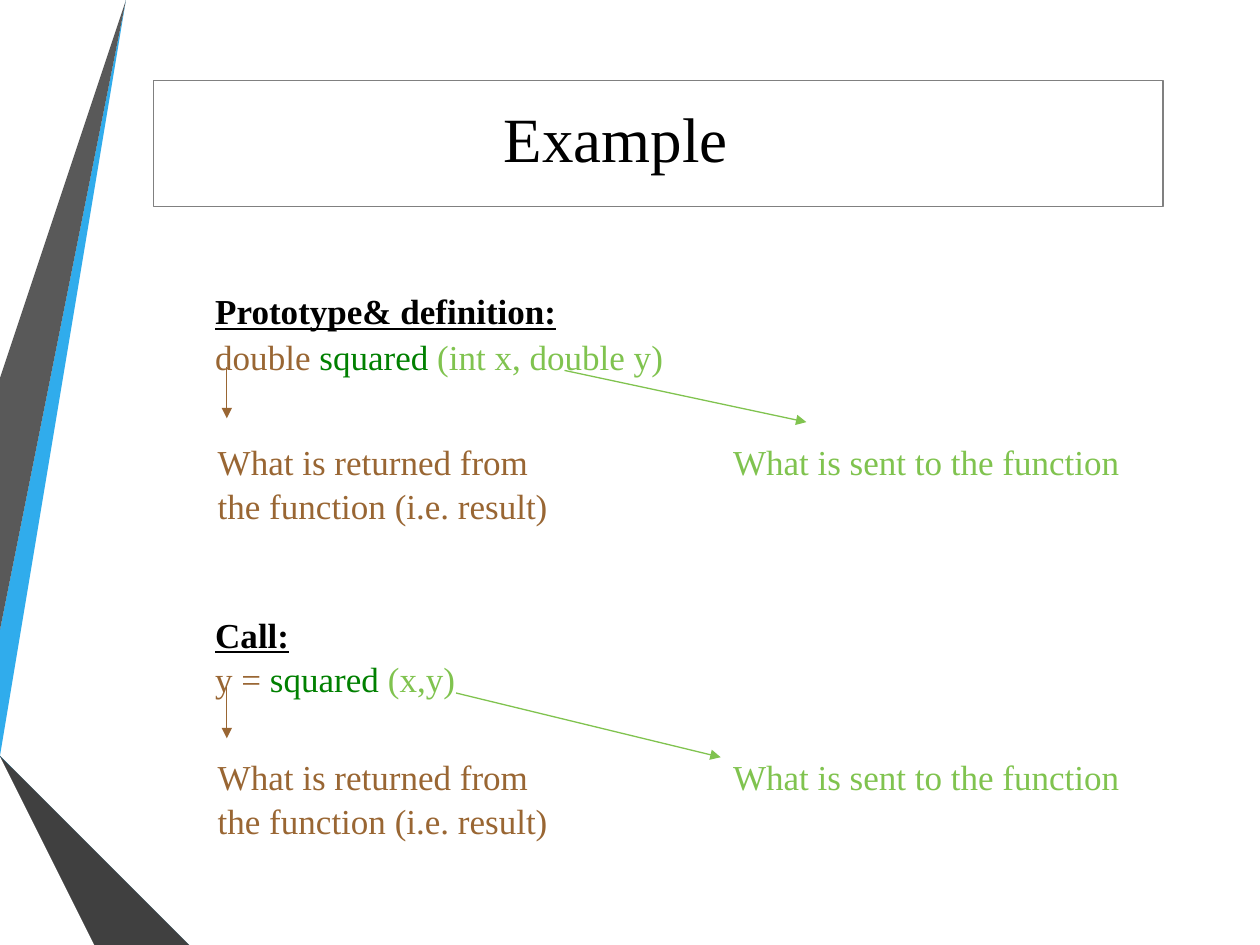
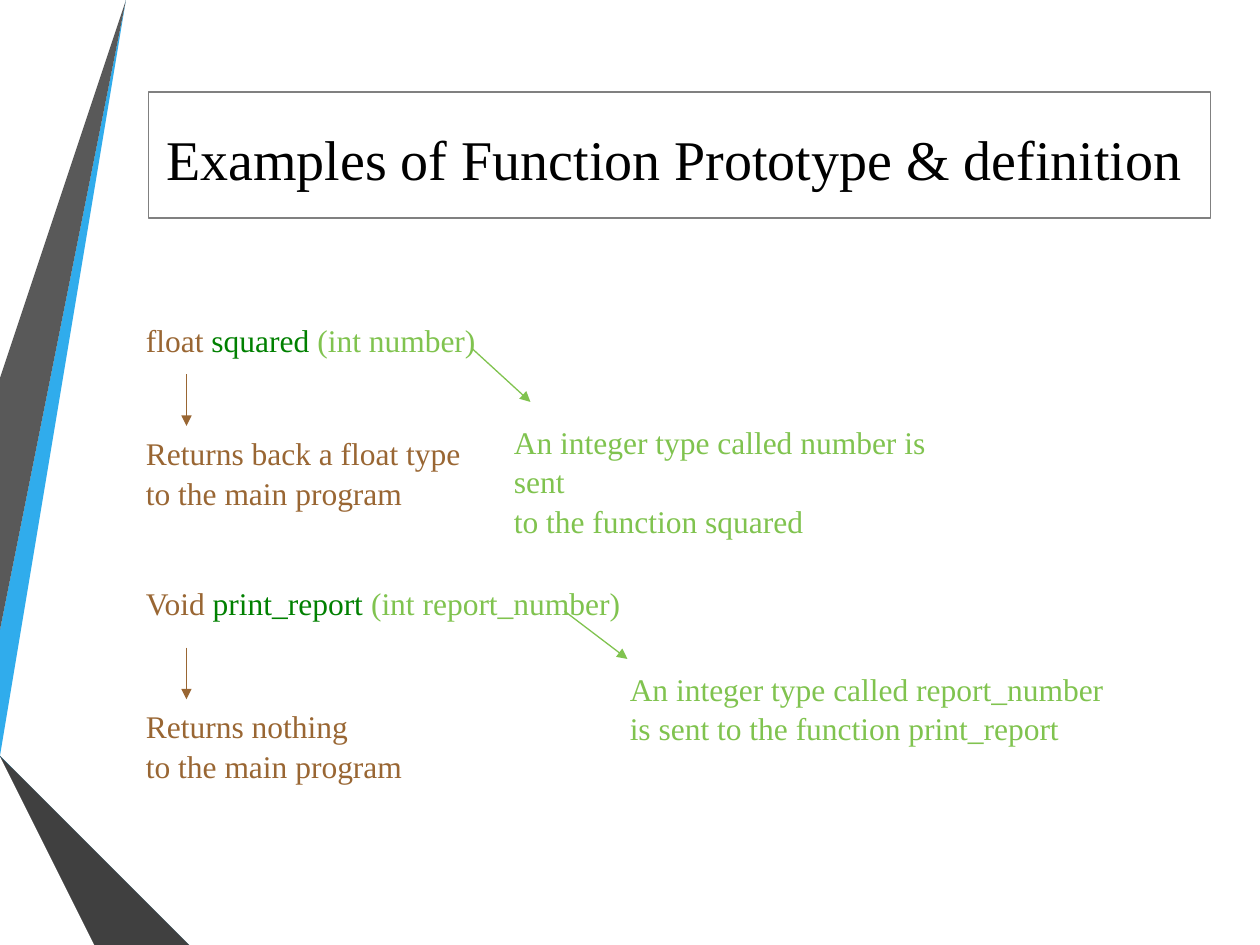
"""Build two slides on function prototypes, definitions and calls."""
from lxml import etree
from pptx import Presentation
from pptx import util as u
from pptx.dml.color import RGBColor
from pptx.enum import shapes, text
from pptx.oxml import ns

FONT = "Times New Roman"
COLORS = {
    "title": "000000",
    "frame": "808080",
    "paper": "FFFFFF",
    "returned": "996633",
    "name": "008000",
    "sent": "80C34F",
}
BANDS = [
    ("30ACEC", [(0, 5.44), (0, 5.75), (0.22, 5.79), (1.17, 0), (0.89, 0)]),
    ("595959", [(0.83, 0), (0.55, 0), (0, 3.36), (0, 5.06)]),
    ("262626", [(0, 6.19), (0, 6.21), (0.93, 7.5), (0.99, 7.5)]),
    ("0C5A82", [(0, 5.79), (0, 5.8), (1.56, 7.5), (1.63, 7.5)]),
    ("1287C3", [(0, 5.79), (1.63, 7.5), (2.33, 7.5), (0.22, 5.79), (0, 5.75)]),
    ("404040", [(0, 6.19), (0.99, 7.5), (1.51, 7.5), (0, 5.86)]),
]


def rgb(name):
    """Return the colour for a palette name or a hex string."""
    return RGBColor.from_string(COLORS.get(name, name))


def add_bands(s):
    """Draw the folded ribbons along the left edge."""
    for color, points in BANDS:
        fb = s.shapes.build_freeform(*points[0], scale=u.Inches(1))
        fb.add_line_segments(points[1:], close=True)
        sp = fb.convert_to_shape()
        sp.shadow.inherit = False
        sp.fill.solid()
        sp.fill.fore_color.rgb = rgb(color)
        sp.line.fill.background()


def add_text(s, box, lines, size, spacing=1.05, before=0):
    """Add a text box; each line is a list of (text, colour) runs."""
    tf = s.shapes.add_textbox(*map(u.Inches, box)).text_frame
    tf.word_wrap = True
    tf.auto_size = text.MSO_AUTO_SIZE.NONE
    for i, runs in enumerate(lines):
        p = tf.paragraphs[0] if i == 0 else tf.add_paragraph()
        p.font.name = FONT
        p.font.size = u.Pt(size)
        p.line_spacing = spacing
        p.space_before = u.Pt(before)
        for words, color in runs:
            r = p.add_run()
            r.text = words
            r.font.color.rgb = rgb(color)
    return tf


def add_title(s, frame, box, words, size):
    """Add the outlined title frame and its heading."""
    sp = s.shapes.add_shape(shapes.MSO_SHAPE.RECTANGLE, *map(u.Inches, frame))
    sp.shadow.inherit = False
    sp.fill.solid()
    sp.fill.fore_color.rgb = rgb("paper")
    sp.line.color.rgb = rgb("frame")
    sp.line.width = u.Pt(0.75)
    add_text(s, box, [[(words, "title")]], size, before=3)


def add_signature(s, box, parts, size, heading=None, spacing=1.09):
    """Add a code line coloured by role, under an optional heading."""
    lines = [list(zip(parts, ("returned", "name", "sent")))]
    if heading:
        lines.insert(0, [(heading, "title")])
    tf = add_text(s, box, lines, size, spacing)
    if heading:
        tf.paragraphs[0].font.bold = True
        tf.paragraphs[0].font.underline = True


def add_note(s, box, lines, role, size):
    """Add an explanation in the colour of its role."""
    add_text(s, box, [[(line, role)] for line in lines], size)


def add_arrow(s, start, end, role):
    """Draw an arrow from a code part to its explanation."""
    ends = map(u.Inches, (*start, *end))
    c = s.shapes.add_connector(shapes.MSO_CONNECTOR.STRAIGHT, *ends)
    c.line.color.rgb = rgb(role)
    c.line.width = u.Pt(0.75)
    ln = c.line._get_or_add_ln()
    etree.SubElement(ln, ns.qn("a:tailEnd"), type="triangle")
    etree.SubElement(c._element.spPr, ns.qn("a:effectLst"))


def new_slide(prs):
    """Add a blank slide with the ribbons."""
    s = prs.slides.add_slide(prs.slide_layouts[6])
    add_bands(s)
    return s


def build_example(prs):
    """Compare the prototype of a function with a call to it."""
    s = new_slide(prs)
    add_title(s, (1.22, 0.64, 8.01, 1), (3.9, 0.71, 5.3, 0.71), "Example", 36)
    add_signature(s, (1.61, 2.22, 8.2, 0.78),
                  ("double ", "squared ", "(int x, double y)"), 20,
                  "Prototype& definition:")
    add_signature(s, (1.61, 4.8, 8.2, 0.77),
                  ("y =", " squared ", "(x,y)"), 20, "Call:", 1.05)
    for top in (3.43, 5.93):
        add_note(s, (1.63, top, 3, 0.77),
                 ["What is returned from", "the function (i.e. result)"],
                 "returned", 20)
        add_note(s, (5.72, top, 3.5, 0.44),
                 ["What is sent to the function"], "sent", 20)
    for top in (2.91, 5.45):
        add_arrow(s, (1.8, top), (1.8, top + 0.41), "returned")
    add_arrow(s, (4.48, 2.94), (6.4, 3.35), "sent")
    add_arrow(s, (3.62, 5.5), (5.72, 6.01), "sent")


def build_prototypes(prs):
    """Explain the parts of two function prototypes."""
    s = new_slide(prs)
    add_title(s, (1.18, 0.73, 8.43, 1), (1.22, 0.91, 8.7, 0.64),
              "Examples of Function Prototype & definition", 32)
    prototypes = [
        (2.47, 3.38, ("float ", "squared ", "(int number)"),
         "Returns back a float type",
         (3.98, 3.29, 3.75, 0.73),
         ["An integer type called number is sent", "to the function squared"],
         (3.74, 2.76), (4.21, 3.19)),
        (4.56, 5.55, ("Void ", "print_report ", "(int report_number)"),
         "Returns nothing",
         (4.9, 5.25, 4.07, 0.63),
         ["An integer type called report_number",
          "is sent to the function print_report"],
         (4.48, 4.85), (4.98, 5.23)),
    ]
    for top, note_top, parts, result, box, sent, start, end in prototypes:
        add_signature(s, (1.06, top, 8.7, 0.4), parts, 18)
        add_note(s, (1.06, note_top, 3.83, 0.71),
                 [result, "to the main program"], "returned", 18)
        add_arrow(s, (1.48, note_top - 0.41), (1.48, note_top), "returned")
        add_note(s, box, sent, "sent", 18)
        add_arrow(s, start, end, "sent")


def main():
    """Build and save the presentation."""
    prs = Presentation()
    prs.slide_width = u.Inches(10)
    prs.slide_height = u.Inches(7.5)
    build_example(prs)
    build_prototypes(prs)
    prs.save("out.pptx")


if __name__ == "__main__":
    main()
